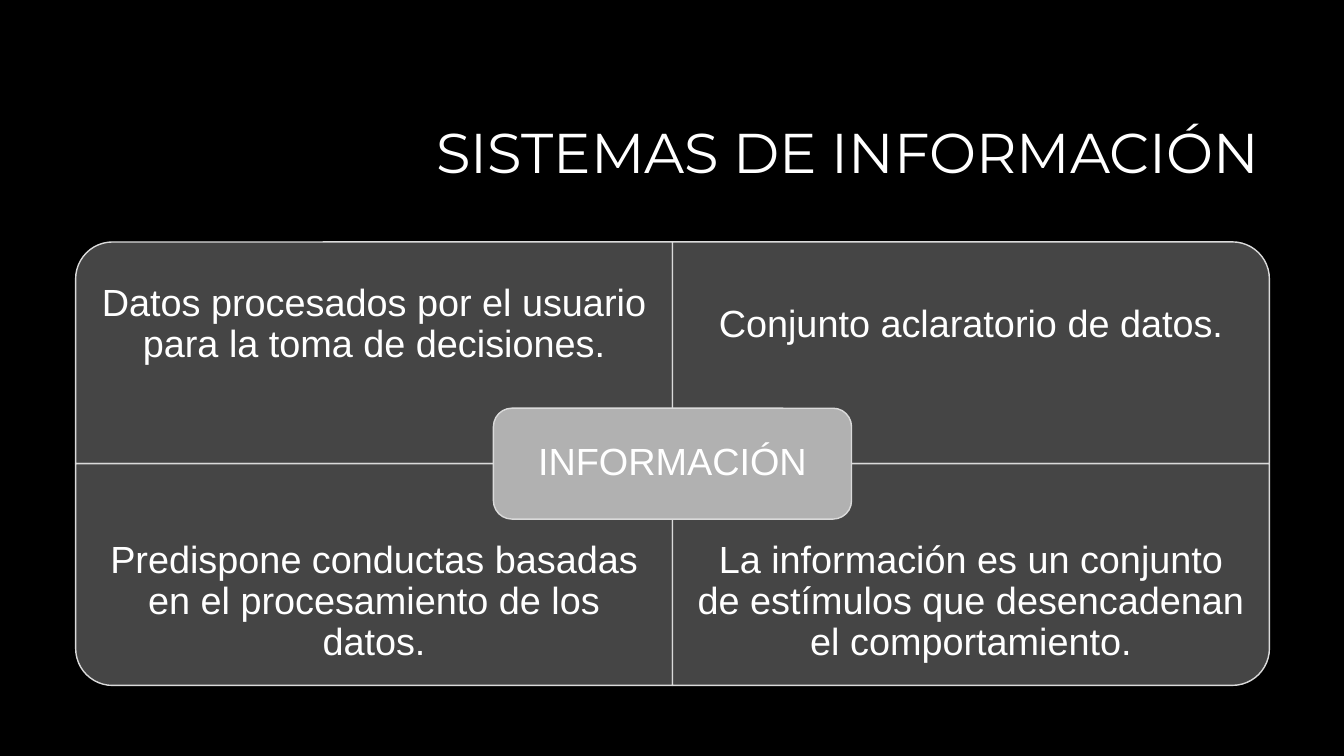
from pptx import Presentation
from pptx.dml.color import RGBColor
from pptx.enum.shapes import MSO_SHAPE as Shape
from pptx.enum.text import MSO_ANCHOR as Anchor, PP_ALIGN as Align
from pptx.util import Inches, Pt

# Grid of two columns and two rows
LEFT, TOP = 0.75, 2.4
COLUMN, ROW = 5.92, 2.2
TEXT_HEIGHT = ROW * 0.75

# Text, column, row and rotation that turns the round corner outwards
QUADRANTS = [
    ("Datos procesados por el usuario para la toma de decisiones.", 0, 0, 270),
    ("Conjunto aclaratorio de datos.", 1, 0, 0),
    ("Predispone conductas basadas en el procesamiento de los datos.", 0, 1, 180),
    ("La información es un conjunto de estímulos que desencadenan "
     "el comportamiento.", 1, 1, 90),
]


def color(hex_string):
    return RGBColor.from_string(hex_string)


def set_text(shape, text, size, font, align=Align.CENTER, inset=0.1):
    frame = shape.text_frame
    frame.word_wrap = True
    frame.vertical_anchor = Anchor.MIDDLE
    frame.margin_left = frame.margin_right = Inches(inset)
    frame.margin_top = frame.margin_bottom = Inches(inset)
    frame.text = text
    paragraph = frame.paragraphs[0]
    paragraph.alignment = align
    paragraph.line_spacing = 0.9
    run_font = paragraph.runs[0].font
    run_font.size = Pt(size)
    run_font.name = font
    run_font.color.rgb = color("FFFFFF")


def add_panel(slide, kind, center_x, center_y, width, height, fill, rotation=0):
    shape = slide.shapes.add_shape(
        kind, Inches(center_x - width / 2), Inches(center_y - height / 2),
        Inches(width), Inches(height))
    shape.rotation = rotation
    shape.shadow.inherit = False
    shape.fill.solid()
    shape.fill.fore_color.rgb = color(fill)
    shape.line.color.rgb = color("DADADA")
    shape.line.width = Pt(1)
    return shape


def add_quadrant(slide, text, column, row, rotation):
    left, top = LEFT + column * COLUMN, TOP + row * ROW
    # A quarter turn swaps the sides of the unrotated shape
    width, height = (ROW, COLUMN) if rotation % 180 else (COLUMN, ROW)
    add_panel(slide, Shape.ROUND_1_RECTANGLE, left + COLUMN / 2, top + ROW / 2,
              width, height, "454545", rotation)
    # The text keeps clear of the central label
    text_top = top + row * (ROW - TEXT_HEIGHT)
    box = slide.shapes.add_textbox(Inches(left), Inches(text_top),
                                   Inches(COLUMN), Inches(TEXT_HEIGHT))
    set_text(box, text, 27, "Arial", inset=0.21)


def format_title(slide, text):
    title = slide.shapes.title
    title.left, title.top = Inches(3.17), Inches(0.84)
    title.width, title.height = Inches(9.42), Inches(1.41)
    set_text(title, text, 40, "Montserrat", Align.RIGHT)


def main():
    presentation = Presentation()
    presentation.slide_width = Inches(13.33)
    presentation.slide_height = Inches(7.5)
    slide = presentation.slides.add_slide(presentation.slide_layouts[5])

    # Background and title
    slide.background.fill.solid()
    slide.background.fill.fore_color.rgb = color("000000")
    format_title(slide, "SISTEMAS DE INFORMACIÓN")

    # Matrix
    for quadrant in QUADRANTS:
        add_quadrant(slide, *quadrant)

    # Central label
    label = add_panel(slide, Shape.ROUNDED_RECTANGLE, LEFT + COLUMN, TOP + ROW,
                      COLUMN * 0.6, ROW / 2, "B1B1B1")
    set_text(label, "INFORMACIÓN", 27, "Arial")

    presentation.save("out.pptx")


if __name__ == "__main__":
    main()
